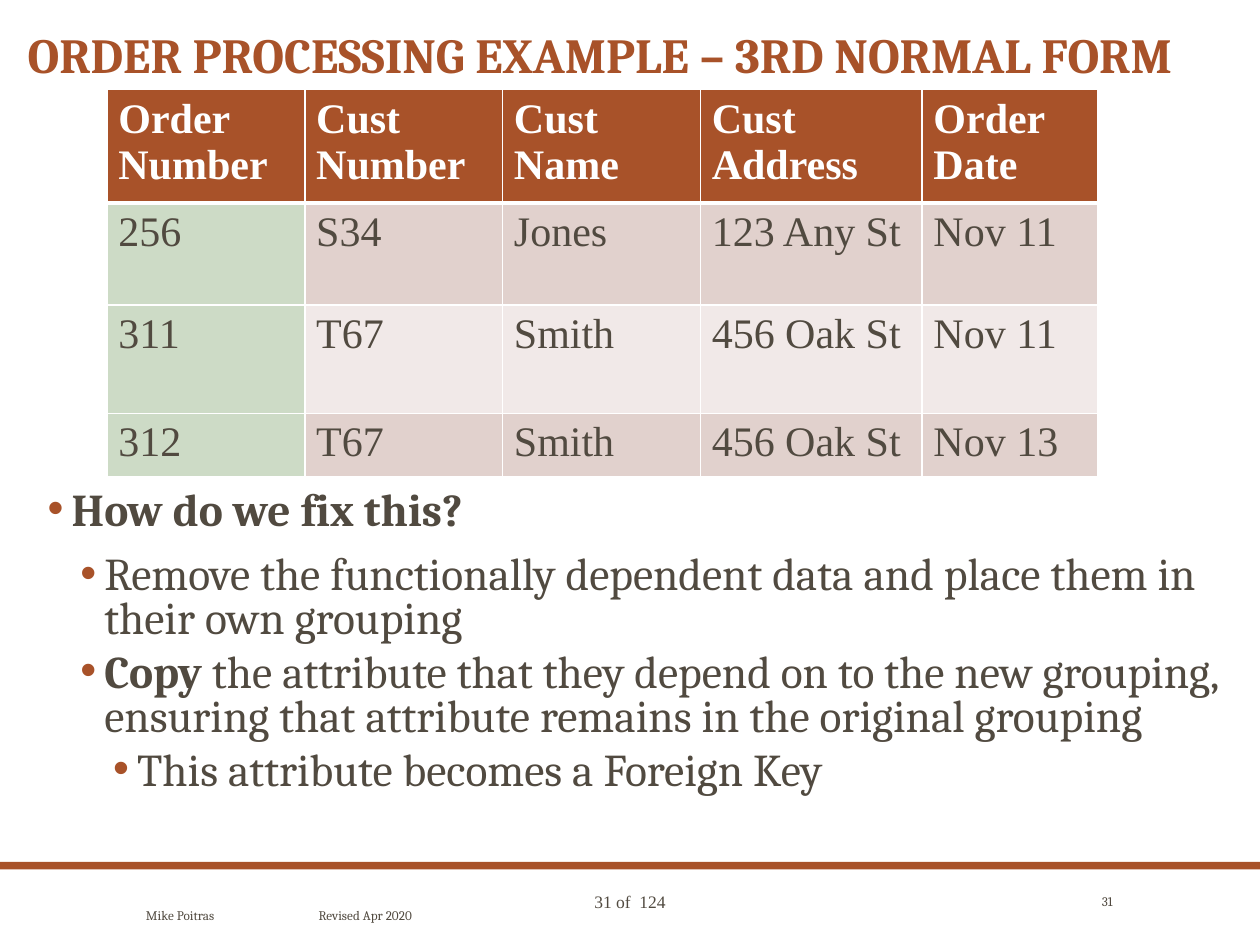
from dataclasses import dataclass

from lxml.etree import SubElement
from pptx import Presentation
from pptx.dml.color import RGBColor
from pptx.enum.shapes import MSO_SHAPE
from pptx.enum.text import MSO_ANCHOR, MSO_AUTO_SIZE, PP_ALIGN
from pptx.oxml.ns import qn
from pptx.util import Inches, Pt


@dataclass(frozen=True)
class Theme:
    accent: str = "A85229"
    ink: str = "514A40"
    white: str = "FFFFFF"
    key: str = "CDDBC6"
    bands: tuple = ("E1D1CD", "F1E9E8")
    serif: str = "Cambria"
    table_font: str = "Times New Roman"
    title_size: float = 28
    body_size: float = 26
    table_size: float = 24
    page_size: float = 10
    footer_size: float = 7.5


def add_span(para, text, *, font, size, color, bold=False):
    """Append one formatted run to a paragraph."""
    span = para.add_run()
    span.text = text
    span.font.name = font
    span.font.size = Pt(size)
    span.font.bold = bold
    span.font.color.rgb = RGBColor.from_string(color)


def add_bullet(para, color, indent, hanging):
    """Give a paragraph a coloured bullet with a hanging indent."""
    properties = para._p.get_or_add_pPr()
    properties.set("marL", str(Inches(indent)))
    properties.set("indent", str(-Inches(hanging)))
    bullet_color = SubElement(properties, qn("a:buClr"))
    SubElement(bullet_color, qn("a:srgbClr"), val=color)
    SubElement(properties, qn("a:buFont"), typeface="Arial")
    SubElement(properties, qn("a:buChar"), char="•")


def add_tab(para, position):
    """Add a left tab stop."""
    tabs = SubElement(para._p.get_or_add_pPr(), qn("a:tabLst"))
    SubElement(tabs, qn("a:tab"), pos=str(Inches(position)), algn="l")


def set_borders(cell, color, bottom):
    """Draw thin cell borders, with a chosen bottom width."""
    properties = cell._tc.get_or_add_tcPr()
    for index, side in enumerate(("lnL", "lnR", "lnT", "lnB")):
        width = bottom if side == "lnB" else 1
        line = properties.makeelement(qn(f"a:{side}"), {"w": str(Pt(width))})
        fill = SubElement(line, qn("a:solidFill"))
        SubElement(fill, qn("a:srgbClr"), val=color)
        properties.insert(index, line)


class SlideBuilder:
    def __init__(self, page, theme):
        self.page = page
        self.theme = theme

    def title(self, text, left, top, width, height):
        box = self.page.shapes.title
        box.left, box.top, box.width, box.height = map(Inches, (left, top, width, height))
        frame = box.text_frame
        frame.word_wrap = True
        frame.auto_size = MSO_AUTO_SIZE.NONE
        frame.vertical_anchor = MSO_ANCHOR.MIDDLE
        para = frame.paragraphs[0]
        para.alignment = PP_ALIGN.LEFT
        para.line_spacing = 0.9
        add_span(para, text, font=self.theme.serif, size=self.theme.title_size,
                 color=self.theme.accent, bold=True)

    def bar(self, left, top, width, height):
        bar = self.page.shapes.add_shape(
            MSO_SHAPE.RECTANGLE, *map(Inches, (left, top, width, height)))
        bar.shadow.inherit = False
        bar.fill.solid()
        bar.fill.fore_color.rgb = RGBColor.from_string(self.theme.accent)
        bar.line.fill.background()

    def text_frame(self, left, top, width, height, anchor=MSO_ANCHOR.TOP):
        box = self.page.shapes.add_textbox(*map(Inches, (left, top, width, height)))
        frame = box.text_frame
        frame.word_wrap = True
        frame.vertical_anchor = anchor
        return frame

    def label(self, text, *place, font, size, align=PP_ALIGN.LEFT,
              anchor=MSO_ANCHOR.MIDDLE, tab=None):
        para = self.text_frame(*place, anchor=anchor).paragraphs[0]
        para.alignment = align
        if tab:
            add_tab(para, tab)
        add_span(para, text, font=font, size=size, color=self.theme.ink)

    def bullets(self, items, *place):
        frame = self.text_frame(*place)
        for index, (level, spans) in enumerate(items):
            para = frame.paragraphs[0] if index == 0 else frame.add_paragraph()
            para.level = level
            para.line_spacing = 0.8
            para.space_after = Pt(6 if level else 12)
            add_bullet(para, self.theme.accent, 0.23 + 0.26 * level, 0.19)
            for text, bold in spans:
                add_span(para, text, font=self.theme.serif, size=self.theme.body_size,
                         color=self.theme.ink, bold=bold)

    def table(self, rows, left, top, widths, heights):
        theme = self.theme
        table = self.page.shapes.add_table(
            len(rows), len(widths),
            *map(Inches, (left, top, sum(widths), sum(heights)))).table
        for column, width in zip(table.columns, widths):
            column.width = Inches(width)
        for row, height in zip(table.rows, heights):
            row.height = Inches(height)
        for r, values in enumerate(rows):
            header = r == 0
            for c, value in enumerate(values):
                cell = table.cell(r, c)
                cell.margin_left = cell.margin_right = Inches(0.09)
                cell.margin_top = cell.margin_bottom = Inches(0.05)
                fill = theme.accent if header else theme.key if c == 0 else theme.bands[(r - 1) % 2]
                cell.fill.solid()
                cell.fill.fore_color.rgb = RGBColor.from_string(fill)
                set_borders(cell, theme.white, bottom=3 if header else 1)
                frame = cell.text_frame
                for index, line in enumerate(value.split("\n")):
                    para = frame.paragraphs[0] if index == 0 else frame.add_paragraph()
                    add_span(para, line, font=theme.table_font, size=theme.table_size,
                             color=theme.white if header else theme.ink, bold=header)


ORDERS = [
    ("Order\nNumber", "Cust Number", "Cust Name", "Cust\nAddress", "Order Date"),
    ("256", "S34", "Jones", "123 Any St", "Nov 11"),
    ("311", "T67", "Smith", "456 Oak St", "Nov 11"),
    ("312", "T67", "Smith", "456 Oak St", "Nov 13"),
]

STEPS = [
    (0, [("How do we fix this?", True)]),
    (1, [("Remove the functionally dependent data and place them in their own grouping", False)]),
    (1, [("Copy", True),
         (" the attribute that they depend on to the new grouping, "
          "ensuring that attribute remains in the original grouping", False)]),
    (2, [("This attribute becomes a Foreign Key", False)]),
]


def main():
    deck = Presentation()
    deck.slide_width, deck.slide_height = Inches(10), Inches(7.5)
    theme = Theme()
    builder = SlideBuilder(deck.slides.add_slide(deck.slide_layouts[5]), theme)

    # Footer rule and page count
    builder.bar(0, 6.84, 10, 0.06)
    builder.label("31 of  124", 3.52, 7.02, 2.96, 0.27, font=theme.table_font,
                  size=theme.page_size, align=PP_ALIGN.CENTER, anchor=MSO_ANCHOR.TOP)

    # Title, explanation and order table
    builder.title("ORDER PROCESSING EXAMPLE – 3RD NORMAL FORM", 0.12, 0.18, 9.66, 0.55)
    builder.bullets(STEPS, 0.24, 3.85, 9.54, 3.09)
    builder.table(ORDERS, 0.85, 0.71, widths=(1.57, 1.57, 1.57, 1.76, 1.39),
                  heights=(0.76, 0.81, 0.86, 0.41))

    # Author, revision and slide number
    builder.label("Mike Poitras\tRevised Apr 2020", 1.06, 7.02, 7.88, 0.48,
                  font=theme.serif, size=theme.footer_size, tab=1.37)
    builder.label("31", 8.36, 7.02, 0.57, 0.26, font=theme.serif,
                  size=theme.footer_size, align=PP_ALIGN.RIGHT)

    deck.save("out.pptx")


if __name__ == "__main__":
    main()
